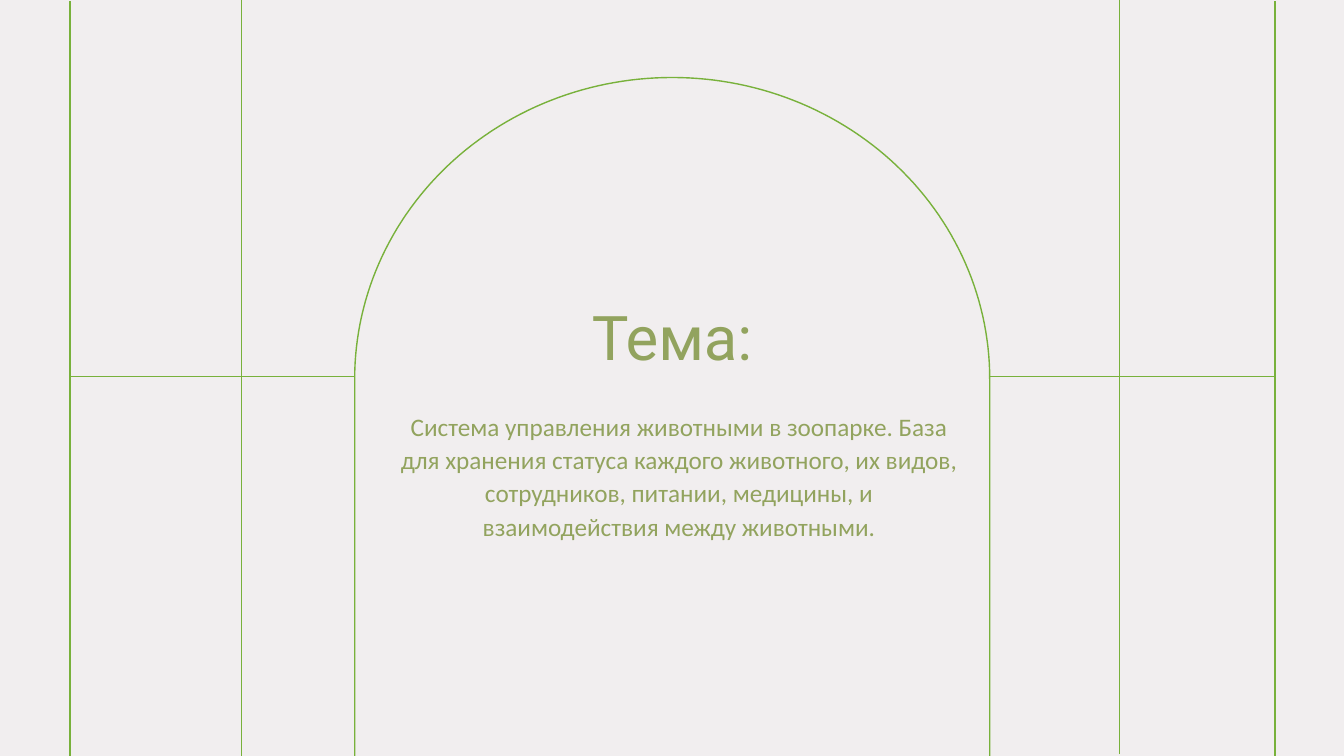
from math import cos, pi, sin

from lxml.etree import SubElement
from pptx import Presentation
from pptx.dml.color import RGBColor
from pptx.enum.shapes import MSO_CONNECTOR
from pptx.enum.text import MSO_ANCHOR, PP_ALIGN
from pptx.oxml.ns import qn
from pptx.util import Pt


def color(value):
    return RGBColor.from_string(value)


def add_text(text, left, top, width, height, font, size, anchor, spacing=1.0, before=0, after=0):
    box = page.shapes.add_textbox(Pt(left), Pt(top), Pt(width), Pt(height))
    frame = box.text_frame
    frame.word_wrap = True
    frame.vertical_anchor = anchor
    para = frame.paragraphs[0]
    para.alignment = PP_ALIGN.CENTER
    para.line_spacing = spacing
    para.space_before = Pt(before)
    para.space_after = Pt(after)
    span = para.add_run()
    span.text = text
    span.font.name = font
    span.font.size = Pt(size)
    span.font.color.rgb = color("92A35E")


deck = Presentation()
deck.slide_width = Pt(960)
deck.slide_height = Pt(540)
page = deck.slides.add_slide(deck.slide_layouts[6])
page.background.fill.solid()
page.background.fill.fore_color.rgb = color("F1EEEF")

green = "78B13B"
edge_left, edge_right = 49.9, 910.8
arch_left, arch_right = 253.4, 707
arch_top, arch_shoulder = 55.4, 270.7
crossbar = 268.9

lines = [
    (172.6, 540, 172.6, 0),
    (799.7, 538.7, 799.7, -1.3),
    (edge_left, crossbar, arch_left, crossbar),
    (arch_right, crossbar, edge_right, crossbar),
    (edge_right, 540.7, edge_right, 0.7),
    (edge_left, 540.7, edge_left, 0.7),
]
for ends in lines:
    line = page.shapes.add_connector(MSO_CONNECTOR.STRAIGHT, *[Pt(end) for end in ends])
    line.line.color.rgb = color(green)
    line.line.width = Pt(1)
    SubElement(line._element.spPr, qn("a:effectLst"))

center = (arch_left + arch_right) / 2
radius_x = (arch_right - arch_left) / 2
radius_y = arch_shoulder - arch_top
steps = 120
curve = [
    (Pt(center - radius_x * cos(pi * step / steps)), Pt(arch_shoulder - radius_y * sin(pi * step / steps)))
    for step in range(steps + 1)
]
builder = page.shapes.build_freeform(Pt(arch_left), Pt(540))
builder.add_line_segments(curve + [(Pt(arch_right), Pt(540))], close=False)
arch = builder.convert_to_shape()
arch.shadow.inherit = False
arch.fill.background()
arch.line.color.rgb = color(green)
arch.line.width = Pt(1)

add_text("Тема: ", 276.5, 148.3, 418.3, 121.7, font="Roboto", size=44, anchor=MSO_ANCHOR.BOTTOM)
add_text(
    "Система управления животными в зоопарке. База для хранения статуса каждого животного, "
    "их видов, сотрудников, питании, медицины, и взаимодействия между животными.",
    275.8, 288, 418.3, 205.2,
    font="Calibri", size=18, anchor=MSO_ANCHOR.TOP, spacing=1.1, before=10, after=8,
)

deck.save("out.pptx")
